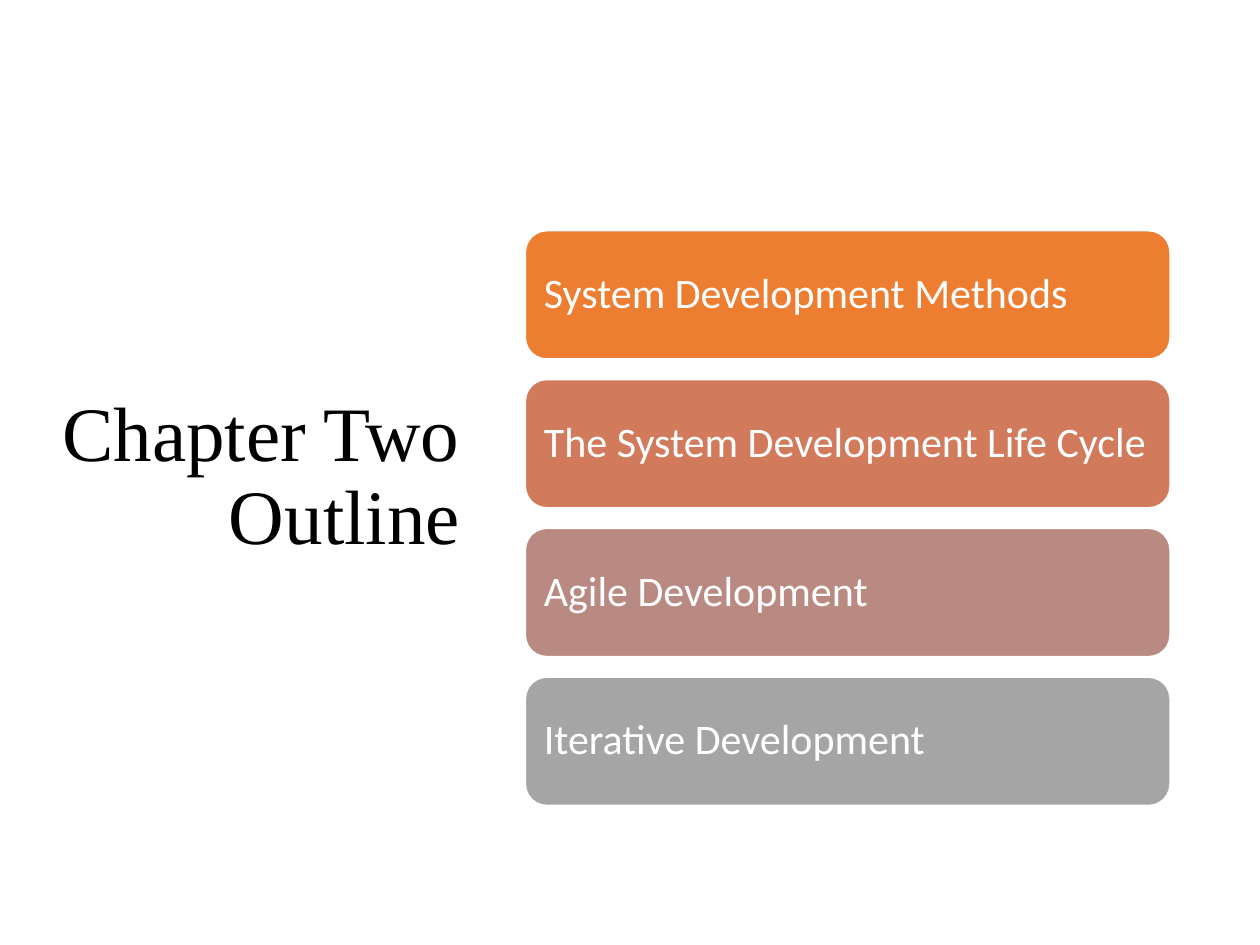
from pptx import Presentation
from pptx.dml.color import RGBColor
from pptx.enum.shapes import MSO_SHAPE
from pptx.enum.text import MSO_ANCHOR, MSO_AUTO_SIZE, PP_ALIGN
from pptx.util import Cm, Pt

ROUNDED = MSO_SHAPE.ROUNDED_RECTANGLE
MIDDLE = MSO_ANCHOR.MIDDLE
LEFT, RIGHT = PP_ALIGN.LEFT, PP_ALIGN.RIGHT
NO_FIT = MSO_AUTO_SIZE.NONE

COLORS = {
    "black": "000000",
    "white": "FFFFFF",
    "orange": "ED7D31",
    "terracotta": "D17B5C",
    "rose": "B98A82",
    "gray": "A5A5A5",
}

TOPICS = [
    ("System Development Methods", "orange"),
    ("The System Development Life Cycle", "terracotta"),
    ("Agile Development", "rose"),
    ("Iterative Development", "gray"),
]


class OutlineSlide:
    """Holds the style and the current slide."""

    title_font, title_size = "Times New Roman", 44
    body_font, body_size = "Calibri", 24

    def __init__(self, prs):
        self.s = prs.slides.add_slide(prs.slide_layouts[5])

    def color(self, name):
        return RGBColor.from_string(COLORS[name])

    def add_text(self, tf, text, font, size, color, align):
        tf.word_wrap = True
        tf.auto_size = NO_FIT
        tf.vertical_anchor = MIDDLE
        p = tf.paragraphs[0]
        p.alignment = align
        p.line_spacing = 0.9
        r = p.add_run()
        r.text = text
        r.font.name = font
        r.font.size = Pt(size)
        r.font.color.rgb = self.color(color)

    def title(self, text, left, top, width, height):
        sp = self.s.shapes.title
        sp.left, sp.top, sp.width, sp.height = left, top, width, height
        # The deeper bottom margin lifts the title by half a line
        sp.text_frame.margin_bottom = Cm(1.73)
        self.add_text(sp.text_frame, text, self.title_font, self.title_size,
                      "black", RIGHT)

    def bar(self, text, fill, left, top, width, height):
        sp = self.s.shapes.add_shape(ROUNDED, left, top, width, height)
        sp.shadow.inherit = False
        sp.fill.solid()
        sp.fill.fore_color.rgb = self.color(fill)
        sp.line.color.rgb = self.color("white")
        sp.line.width = Pt(1)
        self.add_text(sp.text_frame, text, self.body_font, self.body_size,
                      "white", LEFT)


def main():
    prs = Presentation()
    prs.slide_width, prs.slide_height = Cm(25.4), Cm(19.05)
    slide = OutlineSlide(prs)

    # Title on the left
    slide.title("Chapter Two Outline", Cm(0.64), Cm(4.62), Cm(8.89), Cm(11.63))

    # Stack of topic bars on the right
    top, pitch = 4.65, 3.0
    for i, (text, fill) in enumerate(TOPICS):
        slide.bar(text, fill, Cm(10.59), Cm(top + i * pitch), Cm(13), Cm(2.59))

    prs.save("out.pptx")


if __name__ == "__main__":
    main()
